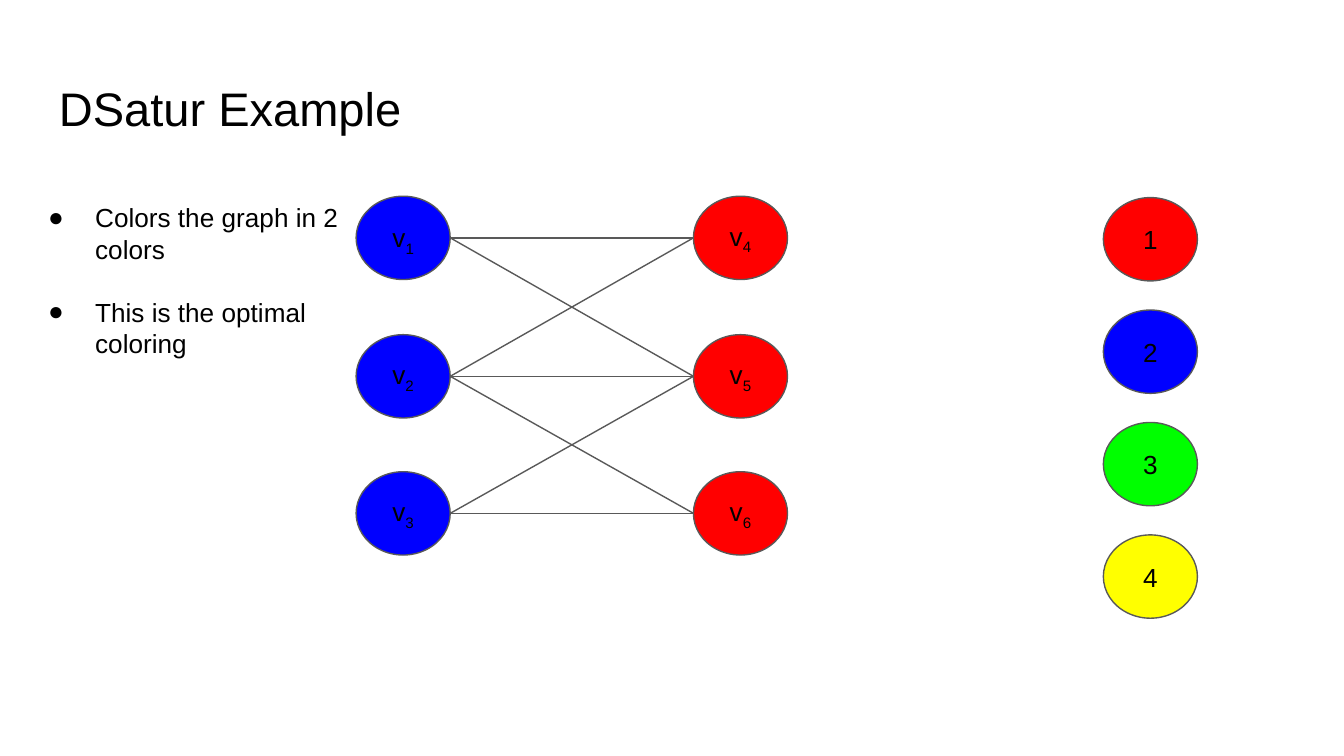
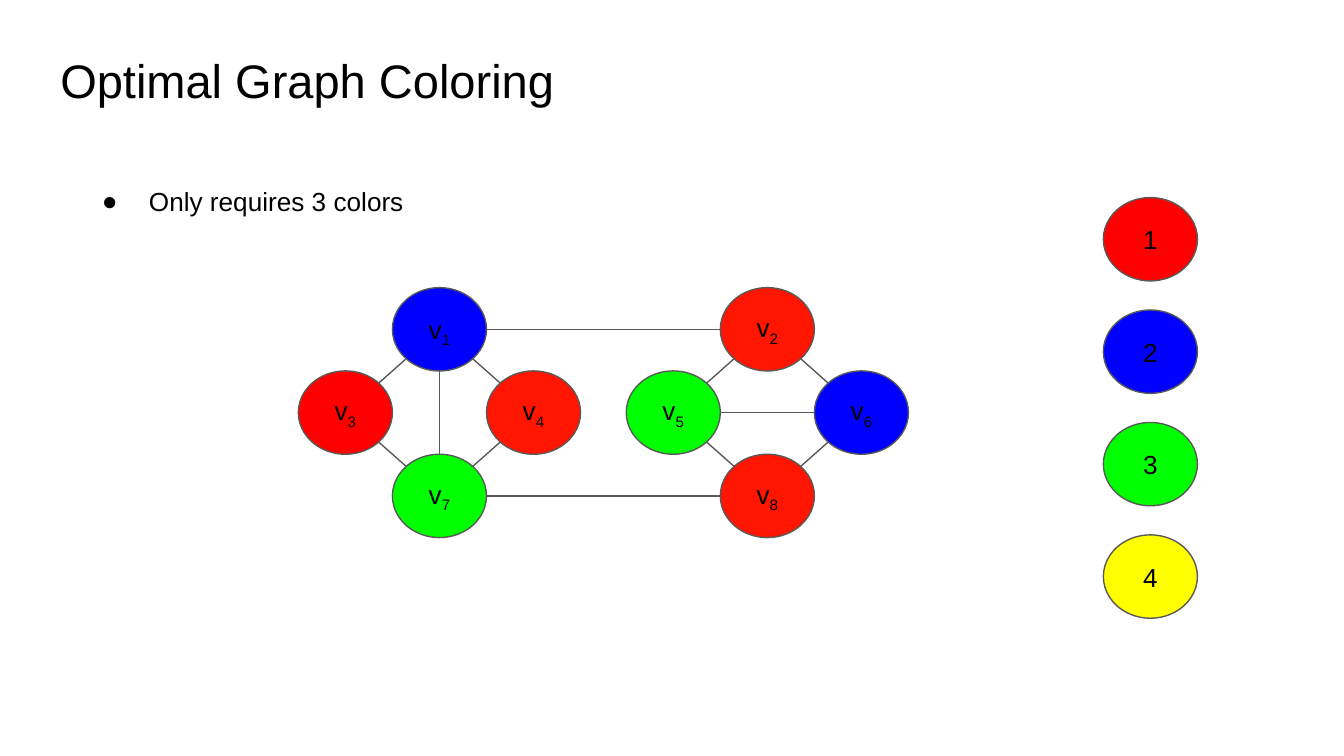
from lxml import etree
from pptx import Presentation
from pptx import util as u
from pptx.dml.color import RGBColor
from pptx.enum import shapes, text
from pptx.oxml.ns import qn

PX = 9144
BLACK = RGBColor(0x00, 0x00, 0x00)
GRAY = RGBColor(0x59, 0x59, 0x59)
RED = RGBColor(0xFF, 0x00, 0x00)
SCARLET = RGBColor(0xFF, 0x15, 0x00)
BLUE = RGBColor(0x00, 0x00, 0xFF)
GREEN = RGBColor(0x00, 0xFF, 0x00)
YELLOW = RGBColor(0xFF, 0xFF, 0x00)


def px(length):
    return u.Emu(round(length * PX))


def sign(number):
    return (number > 0) - (number < 0)


class GraphDeck:
    font = "Arial"
    title_size = 25.2
    body_size = 14
    line_width = 0.75
    node_width, node_height = 70, 62

    def __init__(self):
        self.deck = Presentation()
        self.deck.slide_width = px(1000)
        self.deck.slide_height = u.Emu(self.deck.slide_width * 9 // 16)
        self.page = None

    def new_page(self, title, left, top):
        self.page = self.deck.slides.add_slide(self.deck.slide_layouts[6])
        box = self.text_box(left, top, 932, 63)
        self.add_run(box.text_frame.paragraphs[0], title, self.title_size)

    def set_insets(self, frame):
        frame.word_wrap = True
        frame.margin_left = frame.margin_right = px(10)
        frame.margin_top = frame.margin_bottom = px(10)

    def text_box(self, left, top, width, height):
        box = self.page.shapes.add_textbox(px(left), px(top), px(width), px(height))
        self.set_insets(box.text_frame)
        return box

    def add_run(self, para, words, size=body_size):
        span = para.add_run()
        span.text = words
        span.font.name = self.font
        span.font.size = u.Pt(size)
        span.font.color.rgb = BLACK
        return span

    def bullets(self, left, top, width, height, items):
        frame = self.text_box(left, top, width, height).text_frame
        frame.auto_size = text.MSO_AUTO_SIZE.SHAPE_TO_FIT_TEXT
        for index, item in enumerate(items):
            para = frame.add_paragraph() if index else frame.paragraphs[0]
            para.space_before = u.Pt(17 if index else 0)
            props = para._p.get_or_add_pPr()
            props.set("marL", str(px(50)))
            props.set("indent", str(px(-35)))
            color = etree.SubElement(props, qn("a:buClr"))
            etree.SubElement(color, qn("a:srgbClr")).set("val", str(BLACK))
            etree.SubElement(props, qn("a:buSzPts")).set("val", str(self.body_size * 100))
            etree.SubElement(props, qn("a:buFont")).set("typeface", self.font)
            etree.SubElement(props, qn("a:buChar")).set("char", "●")
            self.add_run(para, item)

    def oval(self, center, fill):
        x, y = center
        oval = self.page.shapes.add_shape(
            shapes.MSO_SHAPE.OVAL,
            px(x - self.node_width / 2), px(y - self.node_height / 2),
            px(self.node_width), px(self.node_height))
        oval.shadow.inherit = False
        oval.fill.solid()
        oval.fill.fore_color.rgb = fill
        oval.line.color.rgb = GRAY
        oval.line.width = u.Pt(self.line_width)
        self.set_insets(oval.text_frame)
        oval.text_frame.vertical_anchor = text.MSO_ANCHOR.MIDDLE
        return oval

    def label(self, frame, words, subscript=None):
        para = frame.paragraphs[0]
        para.alignment = text.PP_ALIGN.CENTER
        self.add_run(para, words)
        if subscript:
            span = self.add_run(para, str(subscript))
            span._r.get_or_add_rPr().set("baseline", "-25000")

    def vertex(self, number, center, fill):
        holder = self.oval(center, fill)
        if number == 1:
            holder = self.text_box(center[0] - 24, center[1] - 22, 48, 44)
            holder.text_frame.auto_size = text.MSO_AUTO_SIZE.SHAPE_TO_FIT_TEXT
        self.label(holder.text_frame, "v", number)

    def edge(self, start, end, direction):
        dx, dy = direction
        reach = 0.5 ** 0.5 if dx and dy else 1
        across = dx * reach * self.node_width / 2
        down = dy * reach * self.node_height / 2
        line = self.page.shapes.add_connector(
            shapes.MSO_CONNECTOR.STRAIGHT,
            px(start[0] + across), px(start[1] + down),
            px(end[0] - across), px(end[1] - down))
        line.line.color.rgb = GRAY
        line.line.width = u.Pt(self.line_width)
        etree.SubElement(line._element.spPr, qn("a:effectLst"))

    def graph(self, vertices, edges, direction=None):
        for number, (center, fill) in vertices.items():
            self.vertex(number, center, fill)
        for first, second in edges:
            start, end = vertices[first][0], vertices[second][0]
            toward = (sign(end[0] - start[0]), sign(end[1] - start[1]))
            self.edge(start, end, direction or toward)

    def color_key(self):
        for index, fill in enumerate((RED, BLUE, GREEN, YELLOW)):
            oval = self.oval((856, 178 + 251 * index / 3), fill)
            self.label(oval.text_frame, str(index + 1))


def bipartite_page(show):
    show.new_page("DSatur Example", 34, 49)
    vertices = {}
    for row, y in enumerate((177, 280, 382), start=1):
        vertices[row] = ((300, y), BLUE)
        vertices[row + 3] = ((551, y), RED)
    edges = [(1, 4), (1, 5), (2, 4), (3, 6), (2, 5), (2, 6), (3, 5)]
    show.graph(vertices, edges, direction=(1, 0))
    show.color_key()
    show.bullets(11, 140, 254, 138,
                 ["Colors the graph in 2 colors", "This is the optimal coloring"])


def diamonds_page(show):
    show.new_page("Optimal Graph Coloring", 35, 28)
    diamonds = (
        (327, ((1, BLUE), (3, RED), (4, SCARLET), (7, GREEN))),
        (571, ((2, SCARLET), (5, GREEN), (6, BLUE), (8, SCARLET))),
    )
    offsets = ((0, -62), (-70, 0), (70, 0), (0, 62))
    vertices, edges = {}, []
    for x, members in diamonds:
        for (number, fill), (dx, dy) in zip(members, offsets):
            vertices[number] = ((x + dx, 307 + dy), fill)
        top, left, right, bottom = (number for number, fill in members)
        edges += [(top, left), (top, right), (left, bottom), (right, bottom)]
    edges += [(1, 7), (7, 8), (1, 2), (5, 6)]
    show.graph(vertices, edges)
    show.color_key()
    show.bullets(51, 128, 297, 44, ["Only requires 3 colors"])


def main():
    show = GraphDeck()
    bipartite_page(show)
    diamonds_page(show)
    show.deck.save("out.pptx")


if __name__ == "__main__":
    main()
